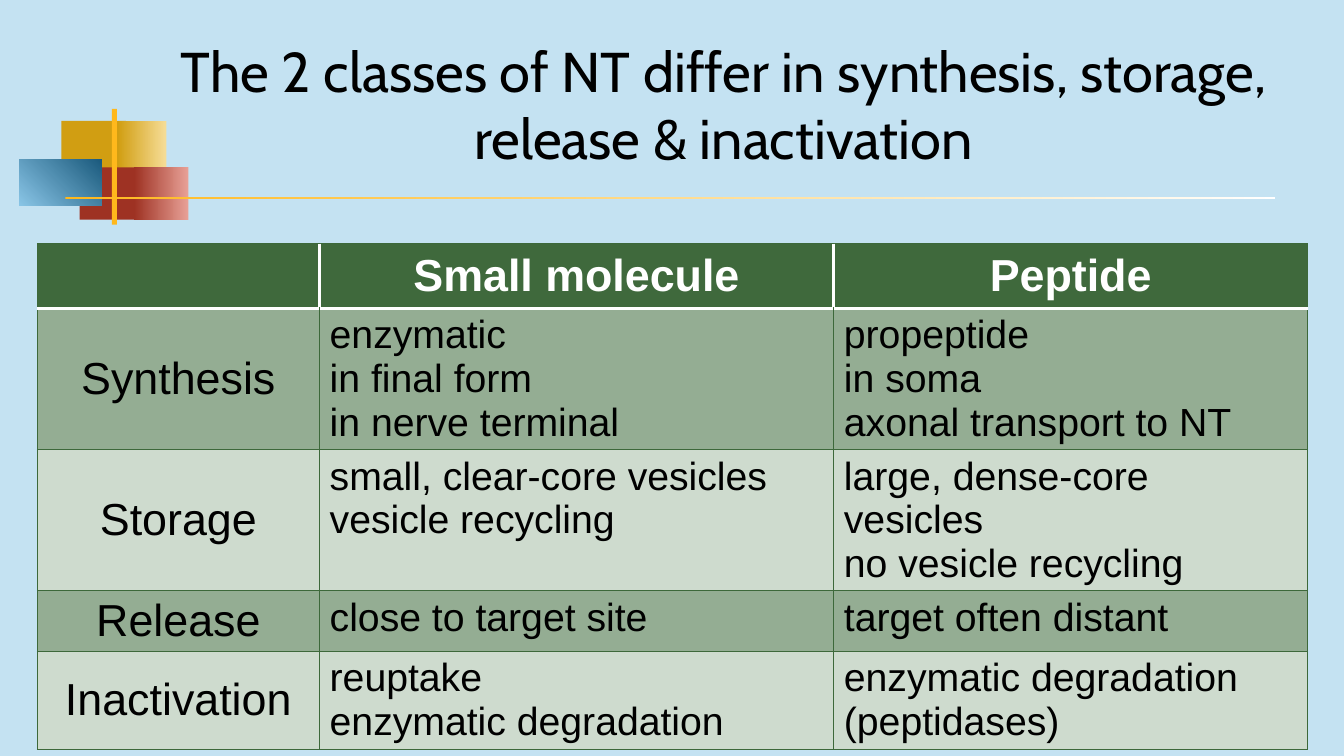
from typing import Any, NamedTuple, Optional

from lxml import etree
from pptx import Presentation
from pptx.dml.color import RGBColor
from pptx.enum import shapes, text
from pptx.oxml import ns
from pptx.util import Inches, Pt

SKY = RGBColor(0xC4, 0xE2, 0xF2)
GOLD = RGBColor(0xD1, 0x9E, 0x12)
PALE_GOLD = RGBColor(0xF6, 0xDD, 0x97)
RED = RGBColor(0x9E, 0x32, 0x23)
PALE_RED = RGBColor(0xE8, 0xA1, 0x97)
LIGHT_BLUE = RGBColor(0x89, 0xC5, 0xE6)
DARK_BLUE = RGBColor(0x1B, 0x5A, 0x7D)
AMBER = RGBColor(0xFF, 0xB8, 0x1C)
WHITE = RGBColor(0xFF, 0xFF, 0xFF)
BLACK = RGBColor(0x00, 0x00, 0x00)
HEADER_GREEN = RGBColor(0x3F, 0x69, 0x3C)
MID_GREEN = RGBColor(0x94, 0xAD, 0x93)
PALE_GREEN = RGBColor(0xCE, 0xDB, 0xCE)
BORDER_GREEN = RGBColor(0x3D, 0x68, 0x3A)


class Block(NamedTuple):
    left: float
    top: float
    width: float
    height: float
    start: RGBColor
    end: Optional[RGBColor] = None
    angle: float = 0


class Border(NamedTuple):
    color: RGBColor
    points: float


class Row(NamedTuple):
    height: float
    cells: tuple[str, str, str]


BLOCKS = [
    Block(0.61, 1.2, 0.64, 0.52, GOLD),
    Block(1.17, 1.2, 0.48, 0.52, GOLD, PALE_GOLD),
    Block(0.79, 1.66, 0.62, 0.52, RED),
    Block(1.33, 1.66, 0.54, 0.52, RED, PALE_RED),
    Block(0.19, 1.58, 0.82, 0.46, LIGHT_BLUE, DARK_BLUE, 45),
    Block(1.11, 1.08, 0.05, 1.15, AMBER),
    Block(0.65, 1.95, 12, 0.03, AMBER, WHITE),
]

COLUMN_WIDTHS = [2.8, 5.1, 4.7]
ROWS = [
    Row(0.64, ("", "Small molecule", "Peptide")),
    Row(1.4, ("Synthesis", "enzymatic\nin final form\nin nerve terminal",
              "propeptide\nin soma\naxonal transport to NT")),
    Row(1.4, ("Storage", "small, clear-core vesicles\nvesicle recycling",
              "large, dense-core vesicles\nno vesicle recycling")),
    Row(0.6, ("Release", "close to target site", "target often distant")),
    Row(0.97, ("Inactivation", "reuptake\nenzymatic degradation",
               "enzymatic degradation (peptidases)")),
]

THIN = Border(BORDER_GREEN, 0.75)
HEADER_SIDE = Border(WHITE, 2.25)
HEADER_BASE = Border(WHITE, 2)

TITLE_FONT = {"name": "Cabin", "size": Pt(40), "bold": False}
HEADER_FONT = {"name": "Arial", "size": Pt(32), "bold": True}
LABEL_FONT = {"name": "Arial", "size": Pt(32), "bold": False}
DETAIL_FONT = {"name": "Arial", "size": Pt(28), "bold": False}


def format_font(font: Any, values: dict[str, Any], color: RGBColor) -> None:
    for name, value in values.items():
        setattr(font, name, value)
    font.color.rgb = color


def add_block(page: Any, block: Block) -> None:
    box = page.shapes.add_shape(
        shapes.MSO_SHAPE.RECTANGLE, Inches(block.left), Inches(block.top),
        Inches(block.width), Inches(block.height))
    box.shadow.inherit = False
    box.line.fill.background()
    if block.end is None:
        box.fill.solid()
        box.fill.fore_color.rgb = block.start
        return
    box.fill.gradient()
    box.fill.gradient_angle = block.angle
    for stop, color in zip(box.fill.gradient_stops, (block.start, block.end)):
        stop.color.rgb = color


def add_title(page: Any, words: str) -> None:
    title = page.shapes.title
    placement = {"left": 1.68, "top": 0.23, "width": 10.99, "height": 1.6}
    for name, value in placement.items():
        setattr(title, name, Inches(value))
    frame = title.text_frame
    frame.text = words
    frame.word_wrap = True
    frame.vertical_anchor = text.MSO_ANCHOR.MIDDLE
    para = frame.paragraphs[0]
    para.alignment = text.PP_ALIGN.CENTER
    format_font(para.runs[0].font, TITLE_FONT, BLACK)


def draw_borders(cell: Any, row: int, column: int) -> None:
    last = len(COLUMN_WIDTHS) - 1
    sides = {
        "lnL": HEADER_SIDE if row == 0 and column > 0 else THIN,
        "lnR": HEADER_SIDE if row == 0 and column < last else THIN,
        "lnT": HEADER_BASE if row == 1 else THIN,
        "lnB": HEADER_BASE if row == 0 else THIN,
    }
    properties = cell._tc.get_or_add_tcPr()
    for tag, border in sides.items():
        line = etree.SubElement(properties, ns.qn(f"a:{tag}"), w=str(Pt(border.points)))
        fill = etree.SubElement(line, ns.qn("a:solidFill"))
        etree.SubElement(fill, ns.qn("a:srgbClr"), val=str(border.color))


def fill_cell(cell: Any, words: str, row: int, column: int) -> None:
    draw_borders(cell, row, column)
    cell.fill.solid()
    if row == 0:
        fill, font, color = HEADER_GREEN, HEADER_FONT, WHITE
    else:
        fill = MID_GREEN if row % 2 else PALE_GREEN
        font, color = (LABEL_FONT if column == 0 else DETAIL_FONT), BLACK
    cell.fill.fore_color.rgb = fill
    heading = row == 0 or column == 0
    cell.vertical_anchor = text.MSO_ANCHOR.MIDDLE if heading else text.MSO_ANCHOR.TOP
    cell.text_frame.text = words
    for para in cell.text_frame.paragraphs:
        para.alignment = text.PP_ALIGN.CENTER if heading else text.PP_ALIGN.LEFT
        format_font(para.font, font, color)
        for span in para.runs:
            format_font(span.font, font, color)


def add_comparison(page: Any) -> None:
    table = page.shapes.add_table(
        len(ROWS), len(COLUMN_WIDTHS), Inches(0.37), Inches(2.42),
        Inches(sum(COLUMN_WIDTHS)), Inches(sum(row.height for row in ROWS))).table
    for column, width in zip(table.columns, COLUMN_WIDTHS):
        column.width = Inches(width)
    for index, row in enumerate(ROWS):
        table.rows[index].height = Inches(row.height)
        for column, words in enumerate(row.cells):
            fill_cell(table.cell(index, column), words, index, column)


def main() -> None:
    deck = Presentation()
    deck.slide_width = Inches(13.33)
    deck.slide_height = Inches(7.5)
    page = deck.slides.add_slide(deck.slide_layouts.get_by_name("Title Only"))
    page.background.fill.solid()
    page.background.fill.fore_color.rgb = SKY
    for block in BLOCKS:
        add_block(page, block)
    add_title(page, "The 2 classes of NT differ in synthesis, storage, release & inactivation")
    add_comparison(page)
    deck.save("out.pptx")


if __name__ == "__main__":
    main()
